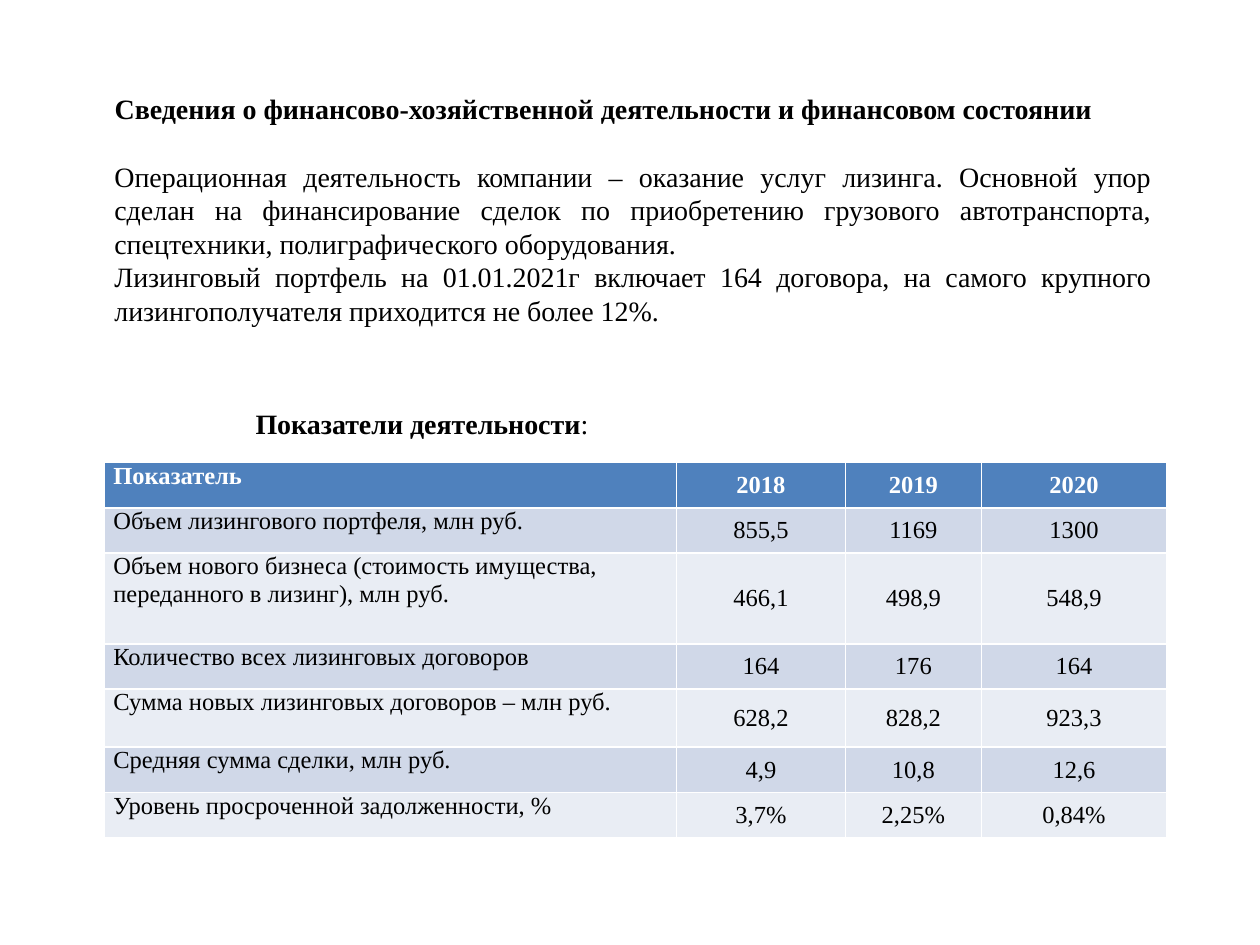
"""Build a slide on a leasing company's finances: heading, summary and indicator table."""
from dataclasses import dataclass

import pptx
import pptx.dml.color
import pptx.enum.text
import pptx.util

COLUMNS, ROWS = 100, 75
WIDTH, HEIGHT = pptx.util.Inches(10), pptx.util.Inches(7.5)
FONT = "Times New Roman"
COLORS = {
    "text": "000000",
    "header_text": "FFFFFF",
    "header": "4F81BD",
    "odd": "D0D8E8",
    "even": "E9EDF4",
}
ALIGN = pptx.enum.text.PP_ALIGN
ANCHOR = pptx.enum.text.MSO_ANCHOR


@dataclass(frozen=True)
class Box:
    left: float
    top: float
    width: float
    height: float

    def emu(self) -> tuple[int, int, int, int]:
        return across(self.left), down(self.top), across(self.width), down(self.height)


@dataclass(frozen=True)
class Indicator:
    name: str
    values: tuple[str, str, str]
    height: float = 3.6


TITLE = "Сведения о финансово-хозяйственной деятельности и финансовом состоянии"
SUMMARY = (
    "Операционная деятельность компании – оказание услуг лизинга. Основной упор сделан "
    "на финансирование сделок по приобретению грузового автотранспорта, спецтехники, "
    "полиграфического оборудования.",
    "Лизинговый портфель на 01.01.2021г включает 164 договора, на самого крупного "
    "лизингополучателя приходится не более 12%.",
)
TITLE_BOX = Box(8.1, 6.8, 84.3, 3.7)
SUMMARY_BOX = Box(8.1, 12.15, 84.3, 14.55)
CAPTION_BOX = Box(19.3, 31.8, 28.8, 3.7)
TABLE_BOX = Box(8.3, 36.7, 84.3, 29.8)
TABLE_COLUMNS = (45.4, 13.4, 10.8, 14.7)
INDICATORS = (
    Indicator("Показатель", ("2018", "2019", "2020")),
    Indicator("Объем лизингового портфеля, млн руб.", ("855,5", "1169", "1300")),
    Indicator("Объем нового бизнеса (стоимость имущества, переданного в лизинг), млн руб.",
              ("466,1", "498,9", "548,9"), 7.2),
    Indicator("Количество всех лизинговых договоров", ("164", "176", "164")),
    Indicator("Сумма новых лизинговых договоров – млн руб.", ("628,2", "828,2", "923,3"), 4.6),
    Indicator("Средняя сумма сделки, млн руб.", ("4,9", "10,8", "12,6")),
    Indicator("Уровень просроченной задолженности, %", ("3,7%", "2,25%", "0,84%")),
)


def across(columns: float) -> int:
    return round(WIDTH * columns / COLUMNS)


def down(rows: float) -> int:
    return round(HEIGHT * rows / ROWS)


def rgb(name: str) -> pptx.dml.color.RGBColor:
    return pptx.dml.color.RGBColor.from_string(COLORS[name])


def style_paragraph(p, size: float, bold: bool = False, align=ALIGN.LEFT, color: str = "text") -> None:
    p.alignment = align
    for r in p.runs:
        r.font.name = FONT
        r.font.size = pptx.util.Pt(size)
        r.font.bold = bold
        r.font.color.rgb = rgb(color)


def add_title(s) -> None:
    sp = s.shapes.title
    sp.left, sp.top, sp.width, sp.height = TITLE_BOX.emu()
    tf = sp.text_frame
    tf.text = TITLE
    tf.vertical_anchor = ANCHOR.TOP
    tf.auto_size = pptx.enum.text.MSO_AUTO_SIZE.NONE
    style_paragraph(tf.paragraphs[0], 16, bold=True)


def add_text(s, box: Box, text: str, align=ALIGN.LEFT, wrap: bool = True):
    tf = s.shapes.add_textbox(*box.emu()).text_frame
    tf.word_wrap = wrap
    tf.text = text
    for p in tf.paragraphs:
        style_paragraph(p, 16, align=align)
    return tf


def add_caption(s) -> None:
    p = add_text(s, CAPTION_BOX, "Показатели деятельности", wrap=False).paragraphs[0]
    p.add_run().text = ":"
    style_paragraph(p, 16)
    p.runs[0].font.bold = True


def fill_cell(cell, text: str, row: int, column: int) -> None:
    header = row == 0
    cell.text = text
    cell.margin_left = cell.margin_right = pptx.util.Inches(0.07)
    cell.margin_top = cell.margin_bottom = 0
    cell.vertical_anchor = ANCHOR.MIDDLE if column else ANCHOR.TOP
    cell.fill.solid()
    cell.fill.fore_color.rgb = rgb("header" if header else "odd" if row % 2 else "even")
    style_paragraph(cell.text_frame.paragraphs[0], 14, bold=header,
                    align=ALIGN.CENTER if column else ALIGN.LEFT,
                    color="header_text" if header else "text")


def add_indicators(s) -> None:
    table = s.shapes.add_table(len(INDICATORS), len(TABLE_COLUMNS), *TABLE_BOX.emu()).table
    for column, width in zip(table.columns, TABLE_COLUMNS):
        column.width = across(width)
    for i, indicator in enumerate(INDICATORS):
        table.rows[i].height = down(indicator.height)
        for j, text in enumerate((indicator.name, *indicator.values)):
            fill_cell(table.cell(i, j), text, i, j)


def main() -> None:
    prs = pptx.Presentation()
    prs.slide_width, prs.slide_height = WIDTH, HEIGHT
    s = prs.slides.add_slide(prs.slide_layouts.get_by_name("Title Only"))
    add_title(s)
    add_text(s, SUMMARY_BOX, "\n".join(SUMMARY), align=ALIGN.JUSTIFY)
    add_caption(s)
    add_indicators(s)
    prs.save("out.pptx")


if __name__ == "__main__":
    main()
